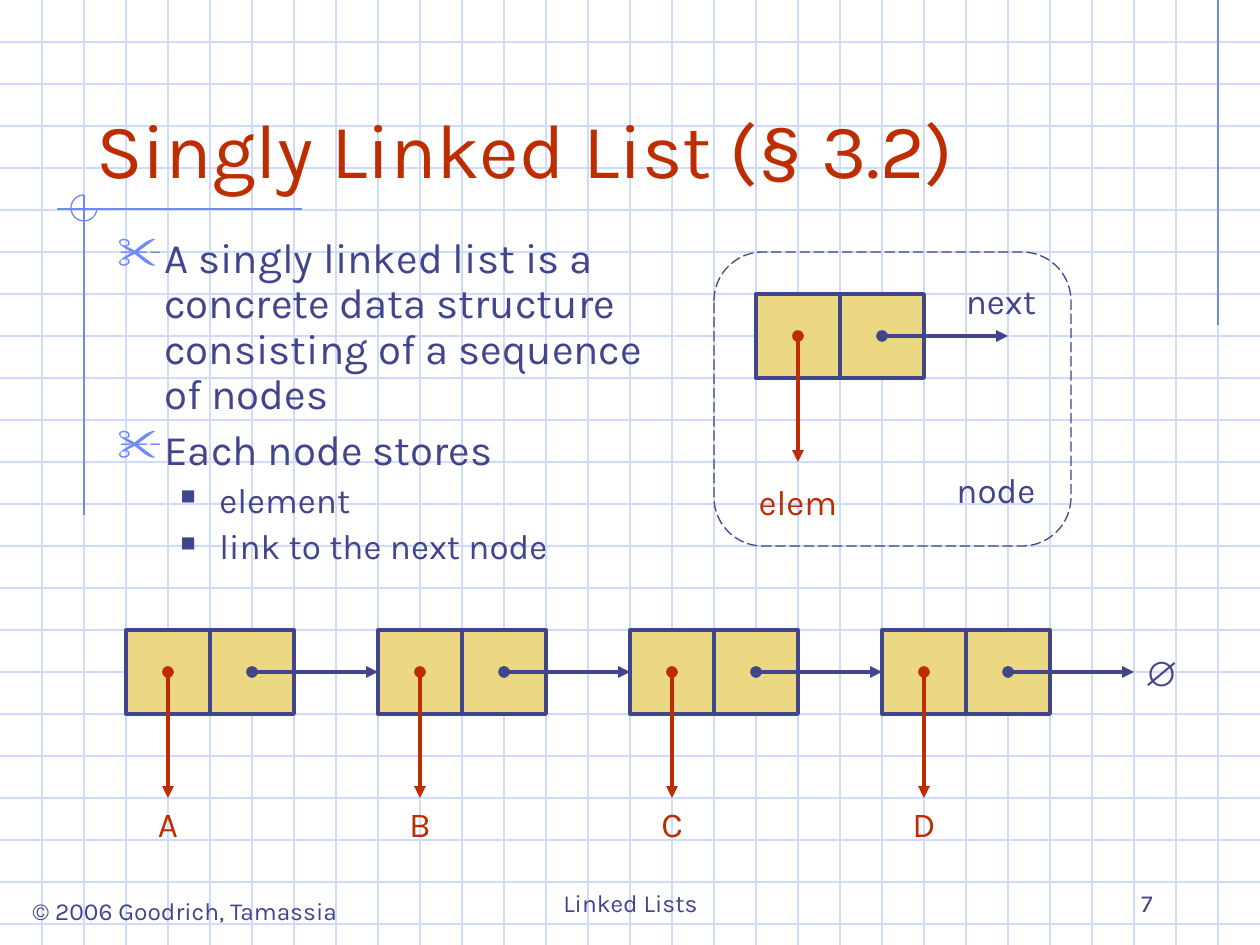
"""Build the slide that introduces the singly linked list."""
import pptx
import pptx.dml.color
import pptx.enum.dml
import pptx.enum.shapes
import pptx.enum.text
import pptx.oxml
import pptx.oxml.ns
import pptx.util
from lxml import etree

RGBColor = pptx.dml.color.RGBColor
MSO_SHAPE = pptx.enum.shapes.MSO_SHAPE
PP_ALIGN = pptx.enum.text.PP_ALIGN
MSO_ANCHOR = pptx.enum.text.MSO_ANCHOR

WHITE = RGBColor(0xFF, 0xFF, 0xFF)
GRID_BLUE = RGBColor(0xCF, 0xDB, 0xFD)
ACCENT_BLUE = RGBColor(0x6F, 0x89, 0xF7)
NAVY = RGBColor(0x40, 0x45, 0x8C)
RED = RGBColor(0xBE, 0x2D, 0x00)
GOLD = RGBColor(0xEC, 0xD8, 0x82)

PIXELS_PER_INCH = 126
WIDTH, HEIGHT = 1260, 945
GRID = 42
CELL = 2 * GRID
ARROW = 3 * GRID
NODE_PITCH = 6 * GRID
LABEL_HEIGHT = 55
THIN, THICK = 0.75, 2.25


def px(length):
    """Turn a length in px into EMU."""
    return pptx.util.Emu(round(length * 914400 / PIXELS_PER_INCH))


def add_child(parent, tag, **attributes):
    """Append a DrawingML element to a parent and return it."""
    return etree.SubElement(parent, pptx.oxml.ns.qn(tag), attributes)


def add_line(slide, start, end, color, width=THIN):
    """Draw a straight line without a shadow."""
    line = slide.shapes.add_connector(
        pptx.enum.shapes.MSO_CONNECTOR.STRAIGHT, *map(px, start + end))
    line.line.color.rgb = color
    line.line.width = pptx.util.Pt(width)
    add_child(line._element.spPr, "a:effectLst")
    return line


def add_pointer(slide, start, end, color):
    """Draw an arrow that starts with a dot."""
    outline = add_line(slide, start, end, color, THICK).line._get_or_add_ln()
    add_child(outline, "a:headEnd", type="oval")
    add_child(outline, "a:tailEnd", type="triangle")


def add_outline(slide, preset, box, color, width=THIN, fill=None):
    """Draw a preset shape with an outline and an optional fill."""
    shape = slide.shapes.add_shape(preset, *map(px, box))
    shape.shadow.inherit = False
    if fill is None:
        shape.fill.background()
    else:
        shape.fill.solid()
        shape.fill.fore_color.rgb = fill
    shape.line.color.rgb = color
    shape.line.width = pptx.util.Pt(width)
    return shape


def format_runs(paragraph, size, color, font="Karla", bold=False):
    """Set the font of every run of a paragraph."""
    for run in paragraph.runs:
        run.font.name = font
        run.font.size = pptx.util.Pt(size)
        run.font.color.rgb = color
        run.font.bold = bold


def add_text(slide, text, box, size, color, align, anchor=MSO_ANCHOR.BOTTOM):
    """Add a wrapped one-paragraph text box and return it."""
    text_box = slide.shapes.add_textbox(*map(px, box))
    frame = text_box.text_frame
    frame.word_wrap = True
    frame.vertical_anchor = anchor
    paragraph = frame.paragraphs[0]
    paragraph.text = text
    paragraph.alignment = align
    format_runs(paragraph, size, color)
    return text_box


def add_label(slide, text, center, top, width, color, size=20, height=LABEL_HEIGHT):
    """Add an unwrapped label centred on a vertical axis."""
    box = (center - width / 2, top, width, height)
    label = add_text(slide, text, box, size, color, PP_ALIGN.CENTER, MSO_ANCHOR.TOP)
    label.text_frame.word_wrap = False
    label.text_frame.auto_size = pptx.enum.text.MSO_AUTO_SIZE.SHAPE_TO_FIT_TEXT
    return label


def add_node(slide, left, top):
    """Draw a node of two cells with its element and next pointers."""
    for column in range(2):
        box = (left + column * CELL, top, CELL, CELL)
        add_outline(slide, MSO_SHAPE.RECTANGLE, box, NAVY, THICK, GOLD)
    middle = top + CELL // 2
    element_x, next_x = left + CELL // 2, left + CELL * 3 // 2
    add_pointer(slide, (element_x, middle), (element_x, middle + ARROW), RED)
    add_pointer(slide, (next_x, middle), (next_x + ARROW, middle), NAVY)


def add_bullet(paragraph, character, color, percent, margin, indent):
    """Give a paragraph a coloured bullet and a hanging indent."""
    properties = paragraph._p.get_or_add_pPr()
    properties.set("marL", str(px(margin)))
    properties.set("indent", str(-px(indent)))
    bullet_color = add_child(properties, "a:buClr")
    add_child(bullet_color, "a:srgbClr", val=str(color))
    add_child(properties, "a:buSzPct", val=str(percent * 1000))
    add_child(properties, "a:buChar", char=character)


def add_body(slide):
    """Add the bulleted definition of the list."""
    items = [
        (0, "A singly linked list is a concrete data structure consisting of a sequence of nodes"),
        (0, "Each node stores"),
        (1, "element"),
        (1, "link to the next node"),
    ]
    styles = [
        (24, 6, ("✂", ACCENT_BLUE, 110, 47, 47)),
        (20, 5, ("■", NAVY, 60, 102, 39)),
    ]
    frame = slide.shapes.add_textbox(px(105), px(231), px(567), px(347)).text_frame
    frame.word_wrap = True
    for index, (level, text) in enumerate(items):
        size, space_before, bullet = styles[level]
        paragraph = frame.add_paragraph() if index else frame.paragraphs[0]
        paragraph.text = text
        paragraph.level = level
        add_bullet(paragraph, *bullet)
        paragraph.line_spacing = 0.9
        if index:
            paragraph.space_before = pptx.util.Pt(space_before)
        format_runs(paragraph, size, NAVY)


def add_backdrop(slide):
    """Draw the graph paper and the accent lines around the title."""
    for y in range(GRID, HEIGHT, GRID):
        add_line(slide, (0, y), (WIDTH, y), GRID_BLUE)
    for x in range(GRID, WIDTH, GRID):
        add_line(slide, (x, 0), (x, HEIGHT), GRID_BLUE)
    add_line(slide, (1218, 0), (1218, 325), ACCENT_BLUE)
    add_line(slide, (302, 209), (57, 209), ACCENT_BLUE)
    add_line(slide, (84, 195), (84, 515), ACCENT_BLUE)
    arc = add_outline(slide, MSO_SHAPE.ARC, (71, 195, 26, 26), ACCENT_BLUE)
    arc.adjustments[0] = 0
    arc.adjustments[1] = 162


def add_node_diagram(slide):
    """Draw the dashed frame that explains one node."""
    frame = add_outline(slide, MSO_SHAPE.ROUNDED_RECTANGLE, (714, 252, 357, 294), NAVY)
    frame.line.dash_style = pptx.enum.dml.MSO_LINE.LONG_DASH
    add_node(slide, 756, 294)
    add_label(slide, "next", 1001, 273, 97, NAVY)
    add_label(slide, "elem", 798, 474, 106, RED)
    add_label(slide, "node", 996, 462, 110, NAVY)


def add_list_diagram(slide):
    """Draw the chain of four nodes that ends in the empty sign."""
    for index, element in enumerate("ABCD"):
        left = 126 + index * NODE_PITCH
        add_node(slide, left, 630)
        add_label(slide, element, left + CELL // 2, 796, 48, RED)
    empty = add_label(slide, "∅", 1158, 645, 53, NAVY)
    format_runs(empty.text_frame.paragraphs[0], 20, NAVY, "Arial", True)


def main():
    """Build and save the slide."""
    presentation = pptx.Presentation()
    presentation.slide_width, presentation.slide_height = px(WIDTH), px(HEIGHT)
    slide = presentation.slides.add_slide(presentation.slide_layouts[6])
    slide.background.fill.solid()
    slide.background.fill.fore_color.rgb = WHITE
    add_backdrop(slide)
    add_label(slide, "© 2006 Goodrich, Tamassia", 185, 890, 341, NAVY, 14, 43)
    add_text(slide, "Linked Lists", (431, 861, 399, 63), 14, NAVY, PP_ALIGN.CENTER)
    add_text(slide, "7", (903, 861, 262, 63), 14, NAVY, PP_ALIGN.RIGHT)
    add_text(slide, "Singly Linked List (§ 3.2)", (84, 42, 1071, 158), 44, RED, PP_ALIGN.LEFT)
    add_body(slide)
    add_node_diagram(slide)
    add_list_diagram(slide)
    presentation.save("out.pptx")


if __name__ == "__main__":
    main()
